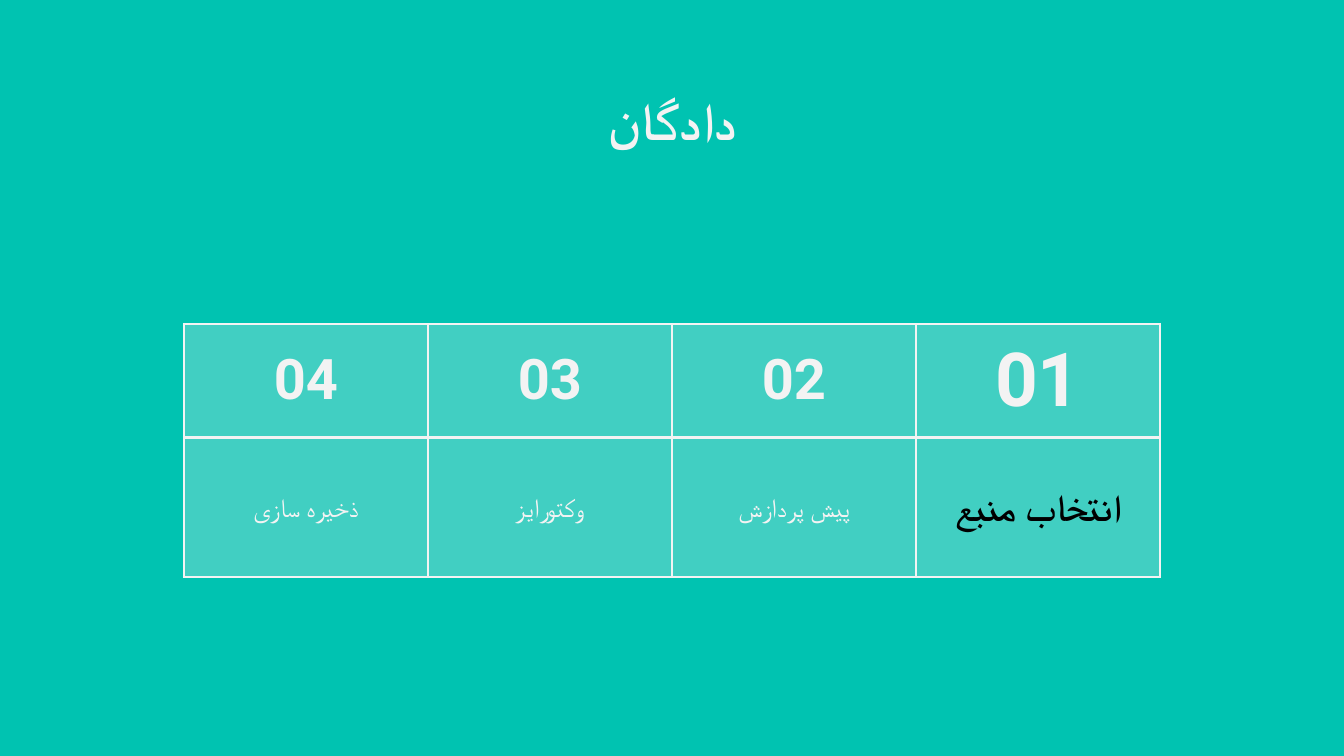
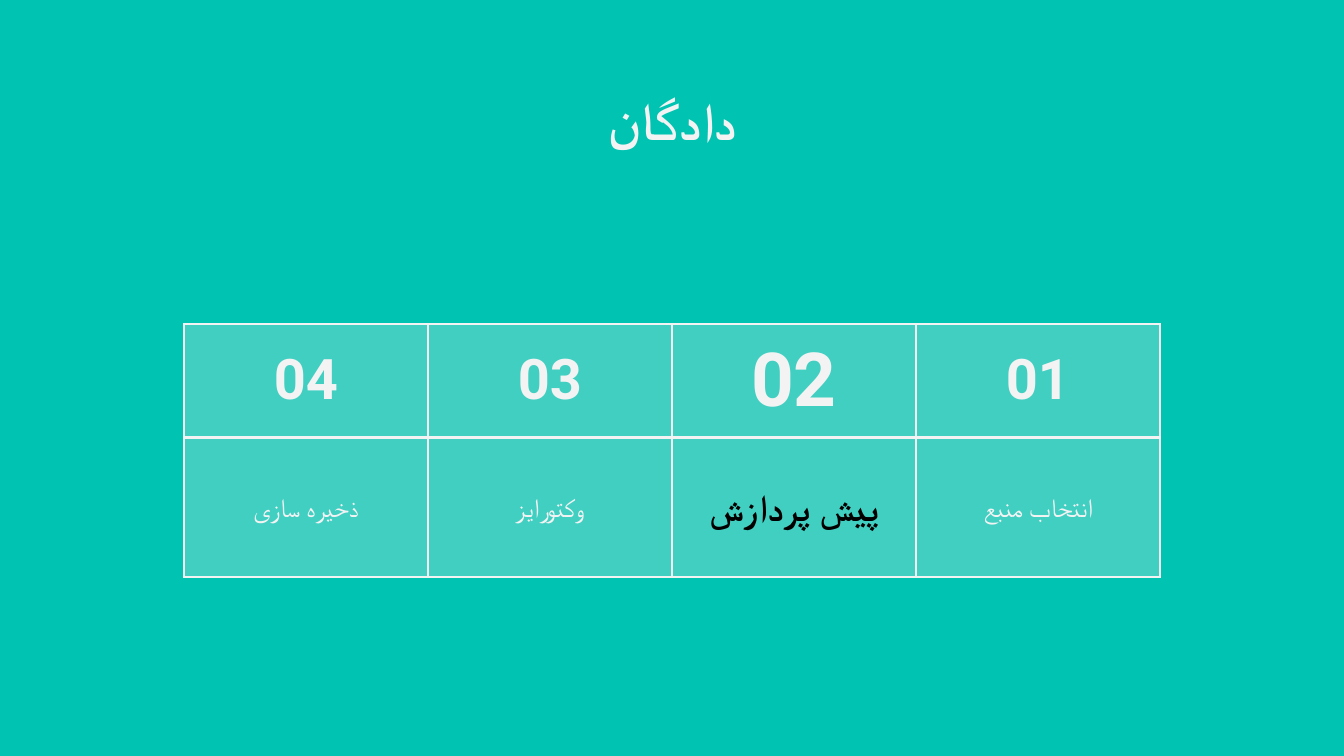
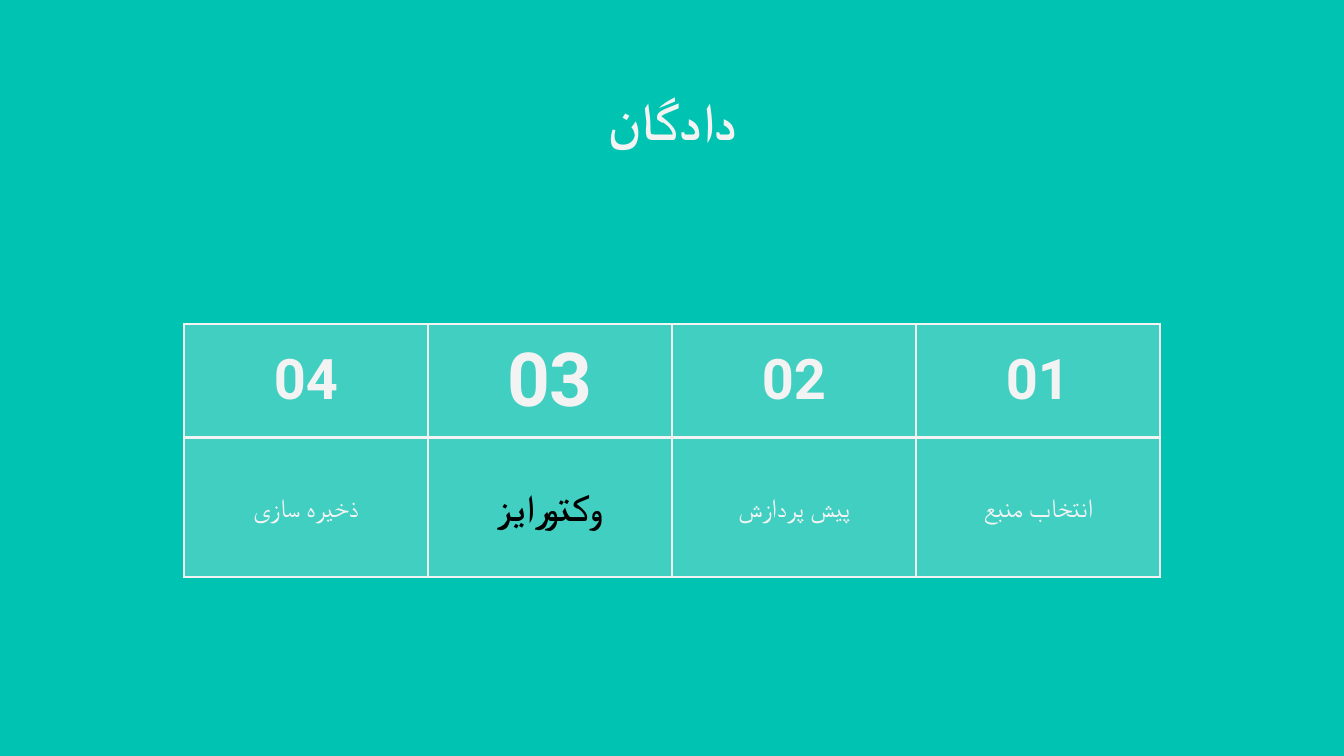
from lxml import etree
from pptx import Presentation
from pptx import util as u
from pptx.dml.color import RGBColor
from pptx.enum import text
from pptx.oxml.ns import qn

PX = u.Inches(10) / 1344
TEAL = RGBColor(0x00, 0xC3, 0xB1)
PALE = RGBColor(0xF3, 0xF3, 0xF3)
BLACK = RGBColor(0x00, 0x00, 0x00)
TITLE_FONT, LABEL_FONT = "Roboto", "Lato"
CELL_OPACITY = 27
CELL_INSET = 13
BORDER_WIDTH = u.Pt(1.5)

TITLE = "دادگان"
STEPS = ["انتخاب منبع", "پیش پردازش", "وکتورایز", "ذخیره سازی"]
TITLE_BOX = (106, 75, 1133, 85)
STEPS_BOX = (184, 324, 976, 249)
NUMBER_ROW = 109


def px(length):
    """Turn a length in px into EMU."""
    return u.Emu(round(length * PX))


def style(paragraph, face, size, color, bold):
    """Centre a paragraph and set its font for Latin and Persian script."""
    paragraph.alignment = text.PP_ALIGN.CENTER
    font = paragraph.font
    font.name, font.size, font.bold = face, u.Pt(size), bold
    font.color.rgb = color
    properties = paragraph._p.pPr.find(qn("a:defRPr"))
    etree.SubElement(properties, qn("a:cs"), typeface=face)


def inset(owner):
    """Give a cell or a text frame equal margins on all sides."""
    owner.margin_left = owner.margin_right = px(CELL_INSET)
    owner.margin_top = owner.margin_bottom = px(CELL_INSET)


def add_title(slide, box):
    """Place and format the slide title."""
    heading = slide.shapes.title
    heading.left, heading.top, heading.width, heading.height = map(px, box)
    frame = heading.text_frame
    frame.text = TITLE
    frame.auto_size = text.MSO_AUTO_SIZE.NONE
    frame.vertical_anchor = text.MSO_ANCHOR.TOP
    inset(frame)
    style(frame.paragraphs[0], TITLE_FONT, 28, PALE, True)


def paint_cell(cell):
    """Give a cell its translucent fill and pale borders."""
    cell.fill.solid()
    cell.fill.fore_color.rgb = PALE
    properties = cell._tc.tcPr
    tint = properties.find(qn("a:solidFill"))[0]
    etree.SubElement(tint, qn("a:alpha"), val=str(CELL_OPACITY * 1000))
    for position, side in enumerate(("lnL", "lnR", "lnT", "lnB")):
        border = etree.Element(qn(f"a:{side}"), w=str(BORDER_WIDTH))
        fill = etree.SubElement(border, qn("a:solidFill"))
        etree.SubElement(fill, qn("a:srgbClr"), val=str(PALE))
        properties.insert(position, border)


def fill_cell(cell, words):
    """Write into a painted cell and return its paragraph."""
    paint_cell(cell)
    inset(cell)
    cell.vertical_anchor = text.MSO_ANCHOR.MIDDLE
    cell.text = words
    return cell.text_frame.paragraphs[0]


def add_steps(slide, box, current):
    """Draw the steps from right to left, with the current one stressed."""
    left, top, width, height = box
    count = len(STEPS)
    steps = slide.shapes.add_table(2, count, *map(px, box)).table
    steps.first_row = steps.horz_banding = False
    steps.rows[0].height = px(NUMBER_ROW)
    steps.rows[1].height = px(height - NUMBER_ROW)
    for index, step in enumerate(STEPS):
        column = count - 1 - index
        steps.columns[column].width = px(width / count)
        stressed = index == current
        number = fill_cell(steps.cell(0, column), f"{index + 1:02}")
        style(number, TITLE_FONT, 40 if stressed else 30, PALE, True)
        label = fill_cell(steps.cell(1, column), step)
        label.space_after = u.Pt(16)
        style(label, LABEL_FONT, 20 if stressed else 14,
              BLACK if stressed else PALE, stressed)
        label._p.pPr.set("rtl", "1")


def add_step_slide(deck, current):
    """Add one slide that stresses the current step."""
    slide = deck.slides.add_slide(deck.slide_layouts[5])
    add_title(slide, TITLE_BOX)
    add_steps(slide, STEPS_BOX, current)


def main():
    """Build and save the deck."""
    deck = Presentation()
    deck.slide_width, deck.slide_height = px(1344), px(756)
    background = deck.slide_master.background.fill
    background.solid()
    background.fore_color.rgb = TEAL
    for current in range(3):
        add_step_slide(deck, current)
    deck.save("out.pptx")


if __name__ == "__main__":
    main()
